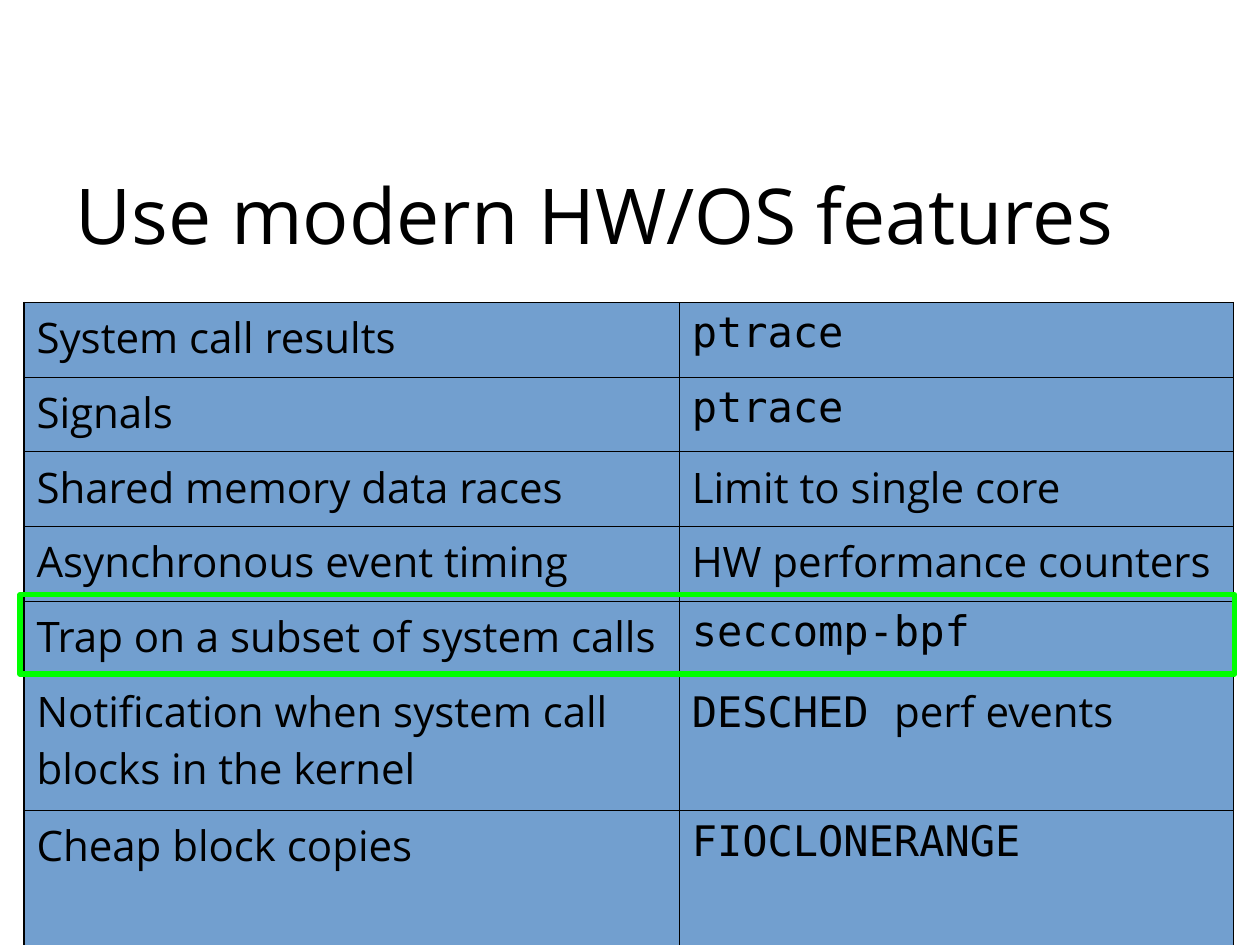
from lxml import etree
from pptx import Presentation
from pptx.dml.color import RGBColor
from pptx.enum.shapes import MSO_SHAPE
from pptx.enum.text import MSO_ANCHOR
from pptx.oxml.ns import qn
from pptx.util import Inches, Pt

BLACK = RGBColor(0x00, 0x00, 0x00)
BLUE = RGBColor(0x72, 0x9F, 0xCF)
GREEN = RGBColor(0x00, 0xFF, 0x00)
SANS = "Open Sans"
MONO = "DejaVu Sans Mono"

ROW_HEIGHT = 0.593
TALL_ROW_HEIGHT = 1.07
FEATURES = [
    ("System call results", [("ptrace", MONO)], ROW_HEIGHT),
    ("Signals", [("ptrace", MONO)], ROW_HEIGHT),
    ("Shared memory data races", [("Limit to single core", SANS)], ROW_HEIGHT),
    ("Asynchronous event timing", [("HW performance counters", SANS)], ROW_HEIGHT),
    ("Trap on a subset of system calls", [("seccomp-bpf", MONO)], ROW_HEIGHT),
    ("Notification when system call blocks in the kernel",
     [("DESCHED ", MONO), ("perf events", SANS)], TALL_ROW_HEIGHT),
    ("Cheap block copies", [("FIOCLONERANGE", MONO)], TALL_ROW_HEIGHT),
]


def add_span(para, text, font, size):
    """Append one black run to a paragraph."""
    span = para.add_run()
    span.text = text
    span.font.name = font
    span.font.size = Pt(size)
    span.font.color.rgb = BLACK


def add_borders(cell):
    """Draw thin black lines on all four sides of a cell."""
    properties = cell._tc.get_or_add_tcPr()
    for index, side in enumerate(("a:lnL", "a:lnR", "a:lnT", "a:lnB")):
        line = etree.Element(qn(side), w=str(Pt(0.75)))
        fill = etree.SubElement(line, qn("a:solidFill"))
        etree.SubElement(fill, qn("a:srgbClr"), val=str(BLACK))
        properties.insert(index, line)


def add_title(page, left, top, width, height):
    """Place the slide title."""
    box = page.shapes.add_textbox(Inches(left), Inches(top), Inches(width), Inches(height))
    frame = box.text_frame
    frame.word_wrap = True
    frame.vertical_anchor = MSO_ANCHOR.MIDDLE
    add_span(frame.paragraphs[0], "Use modern HW/OS features", SANS, 44)


def add_feature_table(page, left, top, widths):
    """Place the table that pairs each need with a system feature."""
    height = sum(row_height for _, _, row_height in FEATURES)
    table = page.shapes.add_table(
        len(FEATURES), len(widths), Inches(left), Inches(top),
        Inches(sum(widths)), Inches(height)).table
    table.first_row = False
    table.horz_banding = False
    for column, width in zip(table.columns, widths):
        column.width = Inches(width)
    for row, (need, feature, row_height) in zip(table.rows, FEATURES):
        row.height = Inches(row_height)
        for cell, spans in zip(row.cells, ([(need, SANS)], feature)):
            cell.fill.solid()
            cell.fill.fore_color.rgb = BLUE
            add_borders(cell)
            for text, font in spans:
                add_span(cell.text_frame.paragraphs[0], text, font, 24)


def add_highlight(page, left, top, width, height):
    """Outline the highlighted table row."""
    frame = page.shapes.add_shape(
        MSO_SHAPE.RECTANGLE, Inches(left), Inches(top), Inches(width), Inches(height))
    frame.shadow.inherit = False
    frame.fill.background()
    frame.line.color.rgb = GREEN
    frame.line.width = Pt(3)


def main():
    """Build and save the deck."""
    deck = Presentation()
    deck.slide_width = Inches(10)
    deck.slide_height = Inches(7.5)
    page = deck.slides.add_slide(deck.slide_layouts[6])
    add_title(page, 0.5, 1.15, 9, 1.1)
    add_feature_table(page, 0.19, 2.4, (5.2, 4.4))
    add_highlight(page, 0.16, 4.72, 9.64, 0.63)
    deck.save("out.pptx")


if __name__ == "__main__":
    main()
